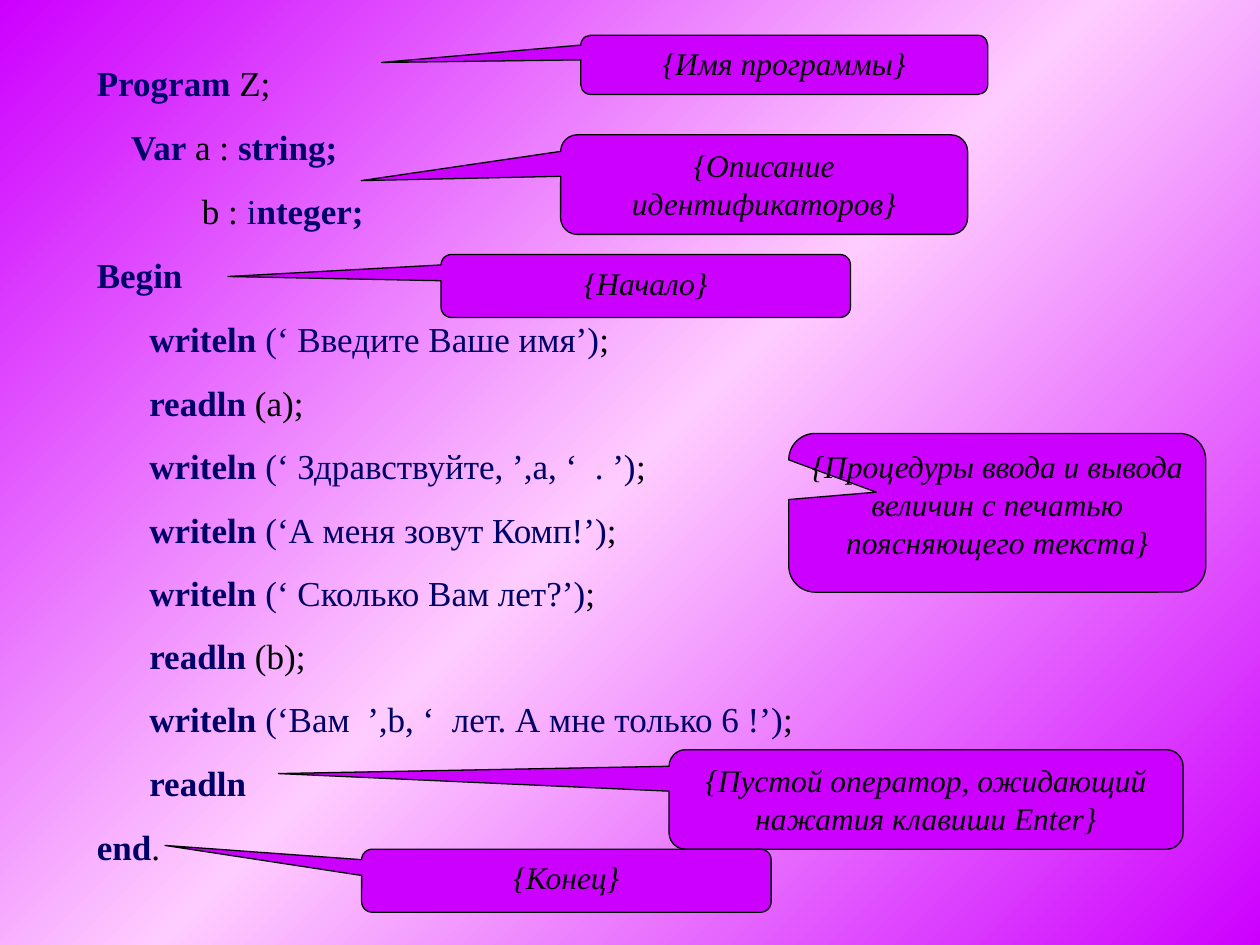
from copy import deepcopy

from pptx import Presentation
from pptx.dml.color import RGBColor
from pptx.enum.shapes import MSO_SHAPE
from pptx.enum.text import MSO_ANCHOR, MSO_AUTO_SIZE, PP_ALIGN
from pptx.oxml.ns import qn
from pptx.util import Inches, Pt

FONT = "Times New Roman"
VIOLET, PINK, NAVY, BLACK = "CC00FF", "FFCCFF", "000066", "000000"
KEYWORD, LITERAL, PLAIN = (NAVY, True), (NAVY, False), (BLACK, False)
INDENT = " " * 6


def rgb(value):
    return RGBColor.from_string(value)


def call(name, argument, style=LITERAL):
    end = [(";", PLAIN)] if style == LITERAL else []
    return [(f"{INDENT}{name} ", KEYWORD), (argument, style)] + end


PROGRAM = [
    [("Program", KEYWORD), (" Z;", PLAIN)],
    [("    Var", KEYWORD), (" a : ", PLAIN), ("string;", KEYWORD)],
    [("            b : ", PLAIN), ("i", LITERAL), ("nteger;", KEYWORD)],
    [("Begin", KEYWORD)],
    call("writeln", "(‘ Введите Ваше имя’)"),
    call("readln", "(a);", PLAIN),
    call("writeln", "(‘ Здравствуйте, ’,а, ‘  . ’)"),
    call("writeln", "(‘А меня зовут Комп!’)"),
    call("writeln", "(‘ Сколько Вам лет?’)"),
    call("readln", "(b);", PLAIN),
    call("writeln", "(‘Вам  ’,b, ‘  лет. А мне только 6 !’)"),
    [(INDENT + "readln", KEYWORD)],
    [("end", KEYWORD), (".", PLAIN)],
]
WIDE_LINES = range(8, 11)

CALLOUTS = [
    ("{Процедуры ввода и вывода величин с печатью поясняющего текста}",
     (6.26, 3.44, 3.31, 1.26), (-0.29, -0.13)),
    ("{Имя программы}", (4.61, 0.28, 3.23, 0.47), (-0.99, -0.04)),
    ("{Описание идентификаторов}", (4.45, 1.07, 3.23, 0.79), (-0.99, -0.04)),
    ("{Начало}", (3.5, 2.02, 3.25, 0.5), (-1.02, -0.15)),
    ("{Пустой оператор, ожидающий нажатия клавиши Enter}",
     (5.31, 5.95, 4.08, 0.79), (-1.26, -0.26)),
    ("{Конец}", (2.87, 6.74, 3.25, 0.5), (-0.98, -0.56)),
]


class ProgramSlide:
    """Styled slide with a program listing and callouts explaining it."""

    def __init__(self, prs):
        self.s = prs.slides.add_slide(prs.slide_layouts[6])

    def background(self, colours, angle):
        fill = self.s.background.fill
        fill.gradient()
        fill.gradient_angle = angle
        stops = self.s._element.find(".//" + qn("a:gsLst"))
        stops.insert(1, deepcopy(stops[0]))
        for i, (stop, colour) in enumerate(zip(fill.gradient_stops, colours)):
            stop.position = i / (len(colours) - 1)
            stop.color.rgb = rgb(colour)

    def style(self, r, size, colour, bold=False, italic=False):
        r.font.name, r.font.size = FONT, Pt(size)
        r.font.bold, r.font.italic = bold, italic
        r.font.color.rgb = rgb(colour)

    def listing(self, lines, box):
        tf = self.s.shapes.add_textbox(*map(Inches, box)).text_frame
        tf.word_wrap = True
        tf.auto_size = MSO_AUTO_SIZE.SHAPE_TO_FIT_TEXT
        for i, line in enumerate(lines):
            p = tf.add_paragraph() if i else tf.paragraphs[0]
            if i in WIDE_LINES:
                p.line_spacing = 1.5
            elif i:
                p.space_before = Pt(12.5)
            for text, (colour, bold) in line:
                r = p.add_run()
                r.text = text
                self.style(r, 20, colour, bold)

    def callout(self, text, box, tip):
        sp = self.s.shapes.add_shape(
            MSO_SHAPE.ROUNDED_RECTANGULAR_CALLOUT, *map(Inches, box))
        sp.adjustments[0], sp.adjustments[1] = tip
        sp.shadow.inherit = False
        sp.fill.solid()
        sp.fill.fore_color.rgb = rgb(VIOLET)
        sp.line.color.rgb = rgb(BLACK)
        sp.line.width = Pt(0.75)
        tf = sp.text_frame
        tf.word_wrap = True
        tf.vertical_anchor = MSO_ANCHOR.TOP
        tf.text = text
        p = tf.paragraphs[0]
        p.alignment = PP_ALIGN.CENTER
        self.style(p.runs[0], 18, BLACK, italic=True)


def main():
    prs = Presentation()
    prs.slide_width, prs.slide_height = Inches(10), Inches(7.5)
    slide = ProgramSlide(prs)
    slide.background([VIOLET, PINK, VIOLET], 135)
    slide.listing(PROGRAM, (0.67, 0.44, 7.48, 6.5))
    for text, box, tip in CALLOUTS:
        slide.callout(text, box, tip)
    prs.save("out.pptx")


if __name__ == "__main__":
    main()
